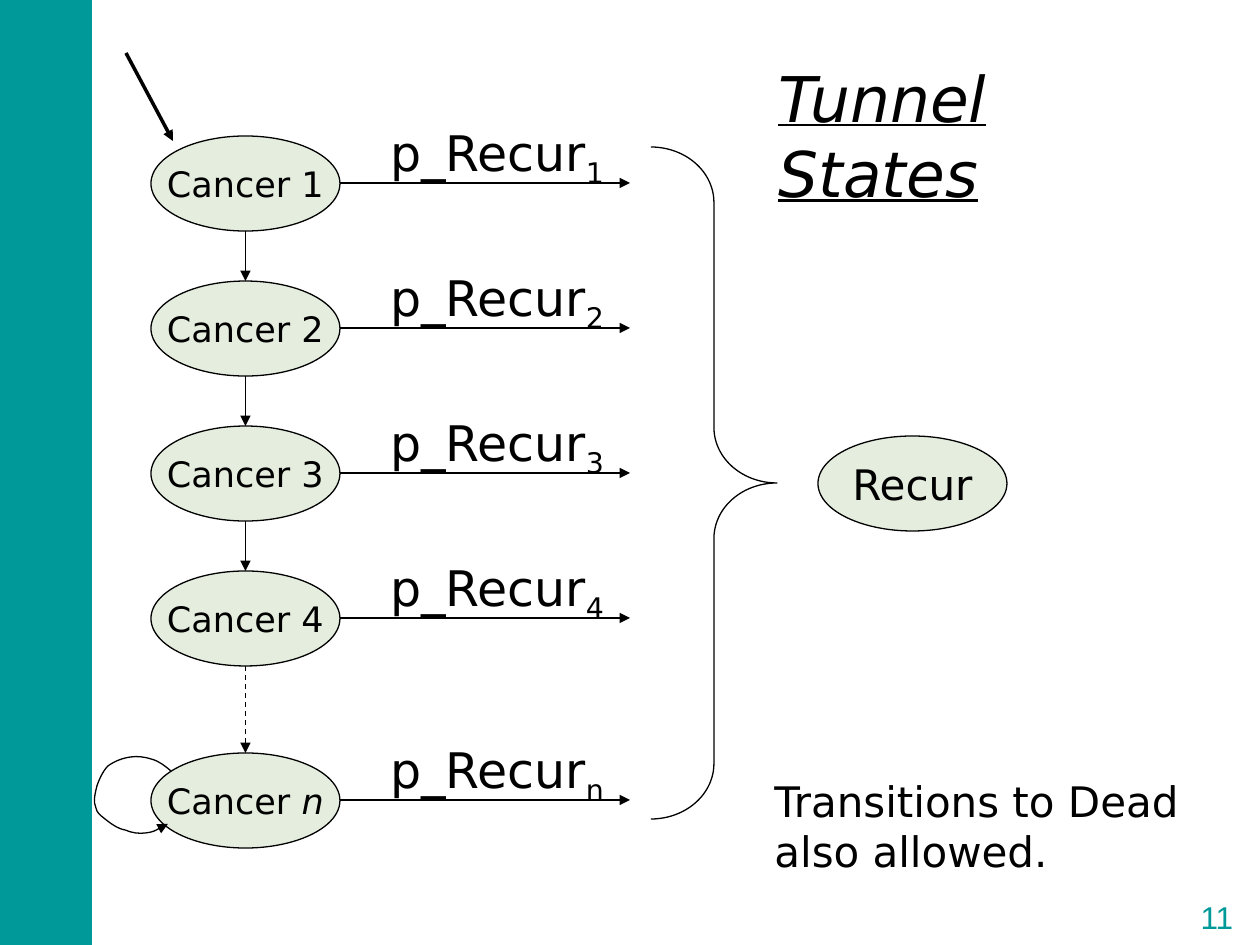
from lxml import etree
from pptx import Presentation
from pptx.dml.color import RGBColor
from pptx.enum.dml import MSO_LINE
from pptx.enum.shapes import MSO_CONNECTOR, MSO_SHAPE
from pptx.enum.text import MSO_ANCHOR, PP_ALIGN
from pptx.oxml.ns import qn
from pptx.util import Emu, Pt

OVAL, RECT = MSO_SHAPE.OVAL, MSO_SHAPE.RECTANGLE
BRACE, BRACKETS = MSO_SHAPE.RIGHT_BRACE, MSO_SHAPE.DOUBLE_BRACKET
STRAIGHT, DASH = MSO_CONNECTOR.STRAIGHT, MSO_LINE.DASH
LEFT, CENTER = PP_ALIGN.LEFT, PP_ALIGN.CENTER
TOP, MIDDLE = MSO_ANCHOR.TOP, MSO_ANCHOR.MIDDLE

SCALE = 914400 / 126
BODY_FONT, NUMBER_FONT = "DejaVu Sans", "Arial"
BLACK, WHITE, TEAL, GREEN = "000000", "FFFFFF", "009999", "4B8828"

STATES = ["1", "2", "3", "4", "n"]
STATE_X, STATE_Y, STATE_W, STATE_H = 151, 136, 189, 95
STATE_PITCH, LAST_GAP = 145, 37
ARROW_END, LABEL_X = 630, 378
LOOP = [
    (171, 771),
    (165, 766), (159, 761), (151, 759),
    (145, 757), (137, 756), (131, 757),
    (123, 758), (115, 761), (108, 766),
    (103, 771), (99, 780), (97, 786),
    (95, 794), (93, 802), (96, 808),
    (97, 813), (100, 815), (105, 819),
    (110, 823), (118, 829), (125, 830),
    (132, 833), (139, 834), (146, 833),
    (154, 832), (160, 828), (168, 824),
]


def px(v):
    return Emu(round(v * SCALE))


def rgb(color):
    return RGBColor.from_string(color)


def add_text(sp, runs, size=20, font=BODY_FONT, color=BLACK, align=LEFT,
             anchor=TOP, wrap=False, underline=None, margin=None):
    tf = sp.text_frame
    tf.word_wrap = wrap
    tf.vertical_anchor = anchor
    if margin is not None:
        tf.margin_left = tf.margin_right = tf.margin_top = tf.margin_bottom = margin
    p = tf.paragraphs[0]
    p.alignment = align
    for text, style in runs:
        r = p.add_run()
        r.text = text
        r.font.name, r.font.size = font, Pt(size)
        r.font.color.rgb = rgb(color)
        r.font.underline = underline
        r.font.italic = True if style == "italic" else None
        if style == "sub":
            r.font._element.set("baseline", "-25000")


def add_box(s, kind, x, y, w, h, fill=None, line=None, width=0.75, opacity=None):
    sp = s.shapes.add_shape(kind, px(x), px(y), px(w), px(h))
    sp.shadow.inherit = False
    if fill:
        sp.fill.solid()
        sp.fill.fore_color.rgb = rgb(fill)
        if opacity:
            clr = sp.fill._xPr.find(qn("a:solidFill"))[0]
            etree.SubElement(clr, qn("a:alpha"), val=str(opacity * 1000))
    else:
        sp.fill.background()
    if line:
        sp.line.color.rgb = rgb(line)
        sp.line.width = Pt(width)
    else:
        sp.line.fill.background()
    return sp


def add_state(s, x, y, runs, size):
    sp = add_box(s, OVAL, x, y, STATE_W, STATE_H, GREEN, BLACK, opacity=15)
    add_text(sp, runs, size=size, align=CENTER, anchor=MIDDLE)


def add_textbox(s, x, y, w, h, runs, **fmt):
    add_text(s.shapes.add_textbox(px(x), px(y), px(w), px(h)), runs, **fmt)


def style_arrow(sp, width=0.75, dash=None):
    sp.line.color.rgb = rgb(BLACK)
    sp.line.width = Pt(width)
    if dash:
        sp.line.dash_style = dash
    etree.SubElement(sp.line._get_or_add_ln(), qn("a:tailEnd"), type="triangle")


def add_arrow(s, x1, y1, x2, y2, **fmt):
    c = s.shapes.add_connector(STRAIGHT, px(x1), px(y1), px(x2), px(y2))
    style_arrow(c, **fmt)
    etree.SubElement(c._element.spPr, qn("a:effectLst"))


def add_curve(s, points):
    builder = s.shapes.build_freeform(*points[0], scale=SCALE)
    builder.add_line_segments(points[1:], close=False)
    sp = builder.convert_to_shape()
    sp.shadow.inherit = False
    sp.fill.background()
    style_arrow(sp)
    segments = list(sp._element.iter(qn("a:lnTo")))
    outline = segments[0].getparent()
    for i in range(0, len(segments), 3):
        curve = etree.SubElement(outline, qn("a:cubicBezTo"))
        for seg in segments[i:i + 3]:
            curve.append(seg[0])
            outline.remove(seg)


def main():
    prs = Presentation()
    prs.slide_width, prs.slide_height = px(1260), px(945)
    s = prs.slides.add_slide(prs.slide_layouts[6])

    add_box(s, RECT, -2, 0, 94, 945, fill=TEAL)

    tops = [STATE_Y + i * STATE_PITCH for i in range(len(STATES))]
    tops[-1] += LAST_GAP
    mid_x = STATE_X + STATE_W / 2
    for name, y in zip(STATES, tops):
        style = "italic" if name == "n" else None
        add_state(s, STATE_X, y, [("Cancer ", None), (name, style)], 20)
        mid_y = y + STATE_H // 2
        add_arrow(s, STATE_X + STATE_W, mid_y, ARROW_END, mid_y)
        add_textbox(s, LABEL_X, y - 20, 249, 72,
                    [("p_Recur", None), (name, "sub")], size=28)
    for y, below in zip(tops, tops[1:]):
        add_arrow(s, mid_x, y + STATE_H, mid_x, below,
                  dash=DASH if below == tops[-1] else None)
    add_curve(s, LOOP)

    brace = add_box(s, BRACE, 651, 147, 126, 672, line=BLACK)
    brace.adjustments[0], brace.adjustments[1] = 0.44, 0.5
    add_state(s, 818, 436, [("Recur", None)], 24)

    add_textbox(s, 762, 769, 447, 115,
                [("Transitions to Dead also allowed.", None)], size=24, wrap=True)
    add_textbox(s, 766, 53, 413, 89, [("Tunnel States", "italic")],
                size=36, wrap=True, underline=True)

    number = add_box(s, BRACKETS, 1179, 890, 76, 54, line=WHITE, width=1.5)
    number.adjustments[0] = 0.18
    add_text(number, [("11", None)], size=18, font=NUMBER_FONT, color=TEAL,
             align=CENTER, anchor=MIDDLE, wrap=True, margin=0)

    add_arrow(s, 126, 53, 173, 141, width=2)
    prs.save("out.pptx")


if __name__ == "__main__":
    main()
